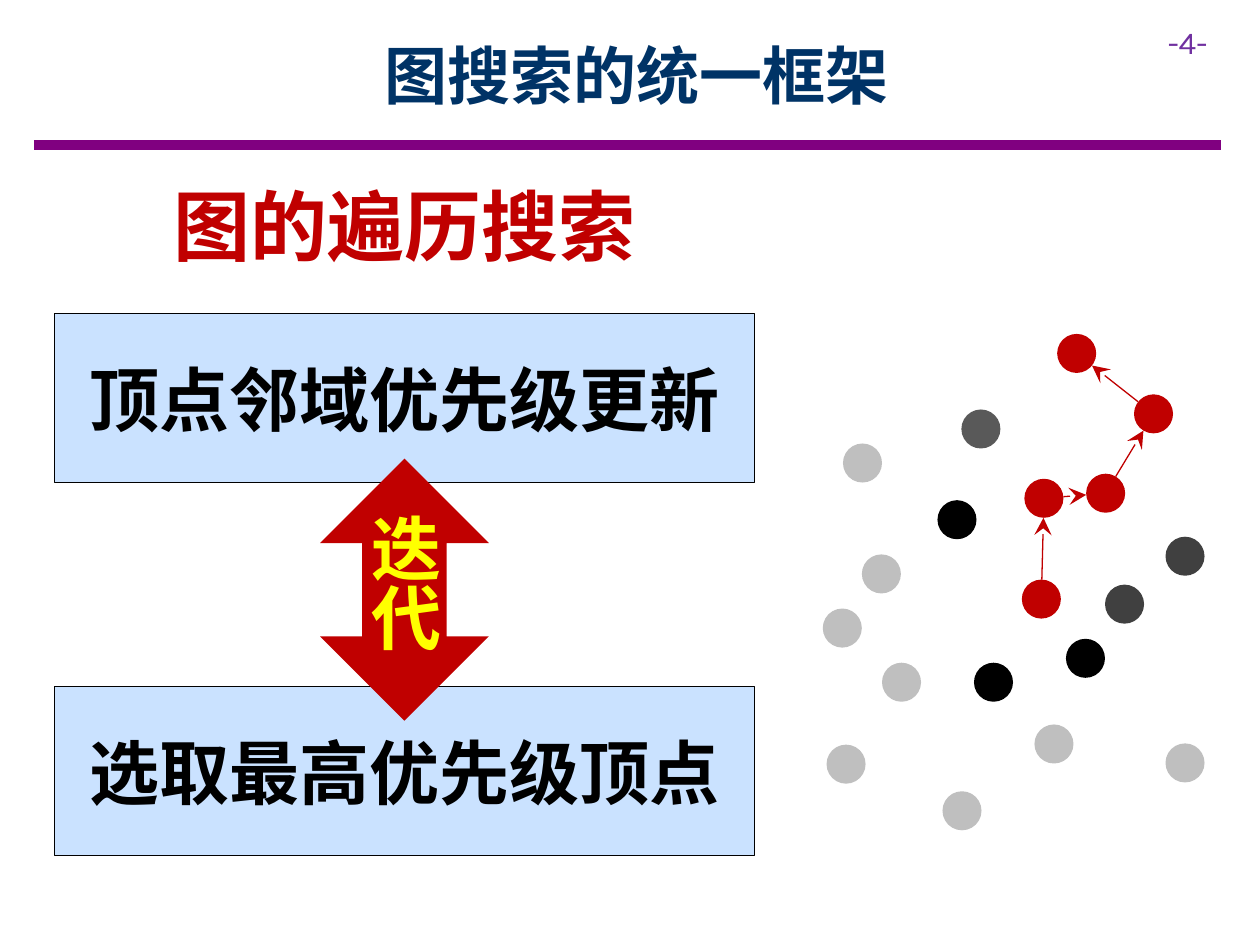
from dataclasses import dataclass
from itertools import pairwise
from math import hypot

from lxml.etree import SubElement
from pptx import Presentation
from pptx.dml.color import RGBColor
from pptx.enum.shapes import MSO_CONNECTOR, MSO_SHAPE
from pptx.enum.text import MSO_ANCHOR, MSO_AUTO_SIZE, PP_ALIGN
from pptx.oxml.ns import qn
from pptx.util import Emu, Pt

PX = 9144  # 100 px to the inch
DOT = 31


@dataclass(frozen=True)
class Theme:
    cjk: str = "Noto Sans CJK SC"
    latin: str = "Karla"
    title: str = "003366"
    rule: str = "800080"
    number: str = "7030A0"
    accent: str = "C00000"
    highlight: str = "FFFF00"
    box: str = "CAE2FF"
    ink: str = "000000"
    dark: str = "404040"
    medium: str = "595959"
    pale: str = "BFBFBF"
    title_pt: int = 36
    heading_pt: int = 44
    label_pt: int = 40
    number_pt: int = 18


T = Theme()

# Top-left corners of the vertices, grouped by colour
VERTICES = {
    T.pale: [(653, 483), (669, 352), (700, 526), (684, 440), (656, 591),
             (821, 575), (748, 628), (925, 590)],
    T.ink: [(773, 526), (846, 507), (744, 397)],
    T.dark: [(877, 464), (925, 426)],
    T.medium: [(763, 325)],
}
SEARCH_PATH = [(811, 460), (813, 380), (862, 376), (900, 313), (839, 265)]


def px(*values):
    return [Emu(round(v * PX)) for v in values]


def rgb(color):
    return RGBColor.from_string(color)


def write(shape, text, size, color, font=T.cjk, bold=True, align=PP_ALIGN.CENTER):
    p = shape.text_frame.paragraphs[0]
    p.alignment = align
    r = p.add_run()
    r.text = text
    r.font.size, r.font.bold, r.font.name = Pt(size), bold, font
    r.font.color.rgb = rgb(color)
    SubElement(r.font._element, qn("a:ea")).set("typeface", font)


def add_title(s, text):
    title = s.shapes.title
    title.left, title.top, title.width, title.height = px(90, 9, 831, 100)
    title.text_frame.auto_size = MSO_AUTO_SIZE.NONE
    title.text_frame.vertical_anchor = MSO_ANCHOR.MIDDLE
    write(title, text, T.title_pt, T.title)


def add_text(s, box, text, size, color, wrap=True, **style):
    sp = s.shapes.add_textbox(*px(*box))
    sp.text_frame.word_wrap = wrap
    write(sp, text, size, color, **style)


def add_shape(s, kind, box, fill, line=None):
    sp = s.shapes.add_shape(kind, *px(*box))
    sp.shadow.inherit = False
    sp.fill.solid()
    sp.fill.fore_color.rgb = rgb(fill)
    if line:
        sp.line.color.rgb = rgb(line)
        sp.line.width = Pt(0.25)
    else:
        sp.line.fill.background()
    return sp


def add_label(sp, text, color):
    tf = sp.text_frame
    tf.word_wrap = True
    tf.vertical_anchor = MSO_ANCHOR.MIDDLE
    tf.margin_left, tf.margin_top, tf.margin_right, tf.margin_bottom = px(10, 10, 10, 10)
    write(sp, text, T.label_pt, color)


def add_step(s, top, text):
    sp = add_shape(s, MSO_SHAPE.RECTANGLE, (43, top, 556, 134), T.box, T.ink)
    add_label(sp, text, T.ink)


def add_iteration_arrow(s, text):
    sp = add_shape(s, MSO_SHAPE.UP_DOWN_ARROW, (254, 364, 134, 208), T.accent)
    sp.adjustments[0], sp.adjustments[1] = 0.53, 0.5
    add_label(sp, text, T.highlight)
    sp.text_frame._txBody.bodyPr.set("vert", "eaVert")


def add_line(s, start, end, color, width, arrow=False):
    line = s.shapes.add_connector(MSO_CONNECTOR.STRAIGHT, *px(*start, *end))
    line.line.color.rgb = rgb(color)
    line.line.width = Pt(width)
    if arrow:
        tail = SubElement(line.line._get_or_add_ln(), qn("a:tailEnd"))
        for key, value in (("type", "stealth"), ("w", "lg"), ("len", "lg")):
            tail.set(key, value)
    SubElement(line._element.spPr, qn("a:effectLst"))


def add_vertex(s, corner, color):
    add_shape(s, MSO_SHAPE.OVAL, (*corner, DOT, DOT), color)


def add_edge(s, a, b):
    """Arrow from rim to rim, along the line through both centres."""
    r = DOT / 2
    dx, dy = b[0] - a[0], b[1] - a[1]
    ux, uy = r * dx / hypot(dx, dy), r * dy / hypot(dx, dy)
    start = (a[0] + r + ux, a[1] + r + uy)
    end = (b[0] + r - ux, b[1] + r - uy)
    add_line(s, start, end, T.accent, 0.75, arrow=True)


def add_graph(s):
    for color, corners in VERTICES.items():
        for corner in corners:
            add_vertex(s, corner, color)
    for corner in SEARCH_PATH:
        add_vertex(s, corner, T.accent)
    for a, b in pairwise(SEARCH_PATH):
        add_edge(s, a, b)


def main():
    prs = Presentation()
    prs.slide_width, prs.slide_height = px(1000, 750)
    s = prs.slides.add_slide(prs.slide_layouts[5])
    add_line(s, (27, 115), (969, 115), T.rule, 6)
    add_text(s, (917, 13, 83, 40), "-4-", T.number_pt, T.number,
             font=T.latin, bold=False, align=PP_ALIGN.LEFT)
    add_title(s, "图搜索的统一框架")
    add_text(s, (126, 137, 390, 84), "图的遍历搜索", T.heading_pt, T.accent, wrap=False)
    add_step(s, 249, "顶点邻域优先级更新")
    add_step(s, 545, "选取最高优先级顶点")
    add_iteration_arrow(s, "迭代")
    add_graph(s)
    prs.save("out.pptx")


if __name__ == "__main__":
    main()
